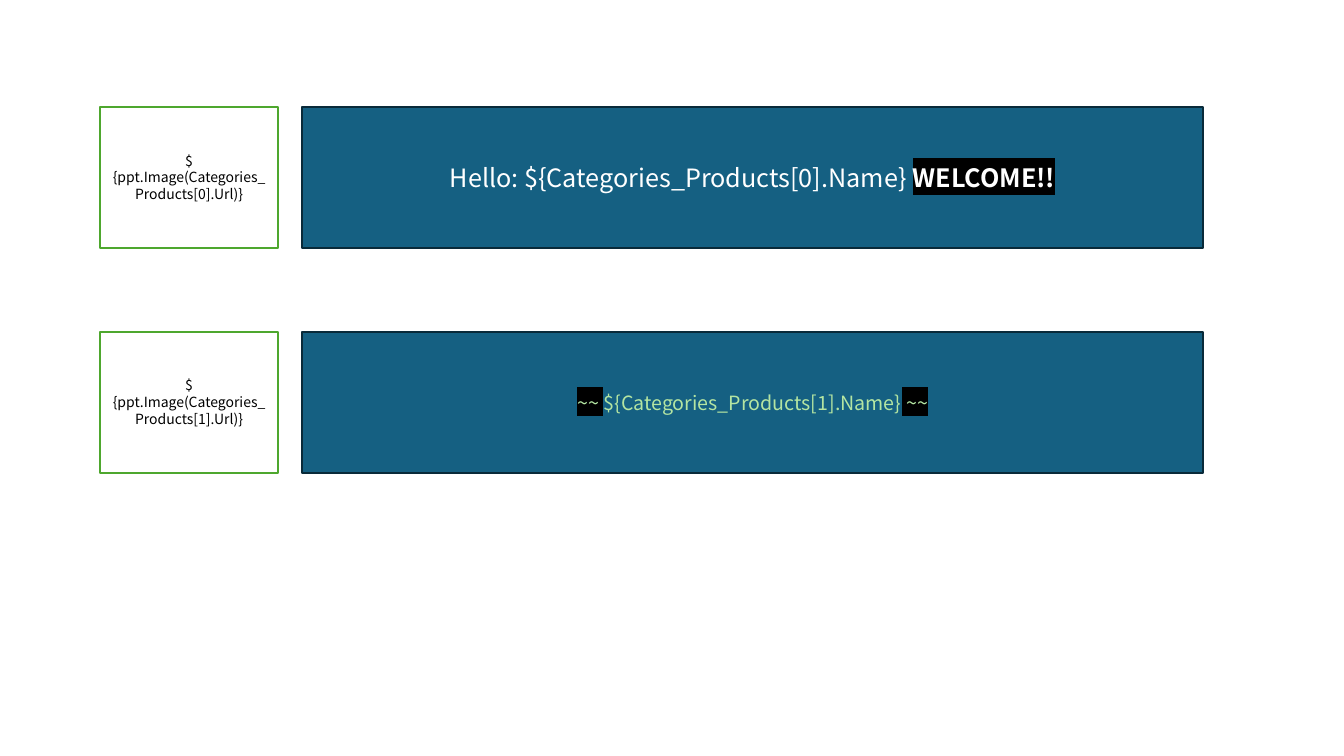
from lxml import etree
from pptx import Presentation
from pptx import util as u
from pptx.dml.color import RGBColor
from pptx.enum import shapes, text
from pptx.oxml.ns import qn

PX = u.Inches(1) // 100
FONT = "Noto Sans CJK KR"
COLORS = {
    "white": "FFFFFF", "black": "000000", "blue": "156082",
    "navy": "092A39", "green": "4EA72E", "mint": "B4E5A2",
}
ROW_LEFT, ROW_TOP, ROW_PITCH, ROW_HEIGHT = 99, 106, 223, 140
IMAGE_WIDTH, NAME_OFFSET, NAME_WIDTH = 177, 201, 893
# Each span is (wording, bold, highlighted).
ROWS = [
    (18, "white", [("Hello: ${Categories_Products[0].Name} ", False, False),
                   ("WELCOME!!", True, True)]),
    (14, "mint", [("~~ ", False, True),
                  ("${Categories_Products[1].Name}", False, False),
                  (" ~~", False, True)]),
]


def color(name):
    return RGBColor.from_string(COLORS[name])


def highlight(span, name):
    """Put a marker colour behind a span that already has a font colour."""
    marker = etree.Element(qn("a:highlight"))
    etree.SubElement(marker, qn("a:srgbClr"), val=COLORS[name])
    span.font._element.find(qn("a:solidFill")).addnext(marker)


def add_box(page, box, fill, line, size, ink, spans):
    left, top, width, height = (length * PX for length in box)
    shape = page.shapes.add_shape(shapes.MSO_SHAPE.RECTANGLE, left, top, width, height)
    shape.shadow.inherit = False
    shape.fill.solid()
    shape.fill.fore_color.rgb = color(fill)
    shape.line.color.rgb = color(line)
    shape.line.width = u.Pt(1.5)
    frame = shape.text_frame
    frame.word_wrap = True
    frame.vertical_anchor = text.MSO_ANCHOR.MIDDLE
    para = frame.paragraphs[0]
    para.alignment = text.PP_ALIGN.CENTER
    for wording, bold, marked in spans:
        span = para.add_run()
        span.text = wording
        span.font.name = FONT
        span.font.size = u.Pt(size)
        span.font.bold = bold
        span.font.color.rgb = color(ink)
        if marked:
            highlight(span, "black")


def add_product_row(page, left, top, index, size, ink, spans):
    """Place an image box and, to its right, a name box."""
    image = f"${{ppt.Image(Categories_Products[{index}].Url)}}"
    add_box(page, (left + NAME_OFFSET, top, NAME_WIDTH, ROW_HEIGHT),
            "blue", "navy", size, ink, spans)
    add_box(page, (left, top, IMAGE_WIDTH, ROW_HEIGHT),
            "white", "green", 10, "black", [(image, False, False)])


def main():
    deck = Presentation()
    deck.slide_width, deck.slide_height = 1333 * PX, 750 * PX
    page = deck.slides.add_slide(deck.slide_layouts[6])
    for index, row in enumerate(ROWS):
        add_product_row(page, ROW_LEFT, ROW_TOP + index * ROW_PITCH, index, *row)
    deck.save("out.pptx")


if __name__ == "__main__":
    main()
